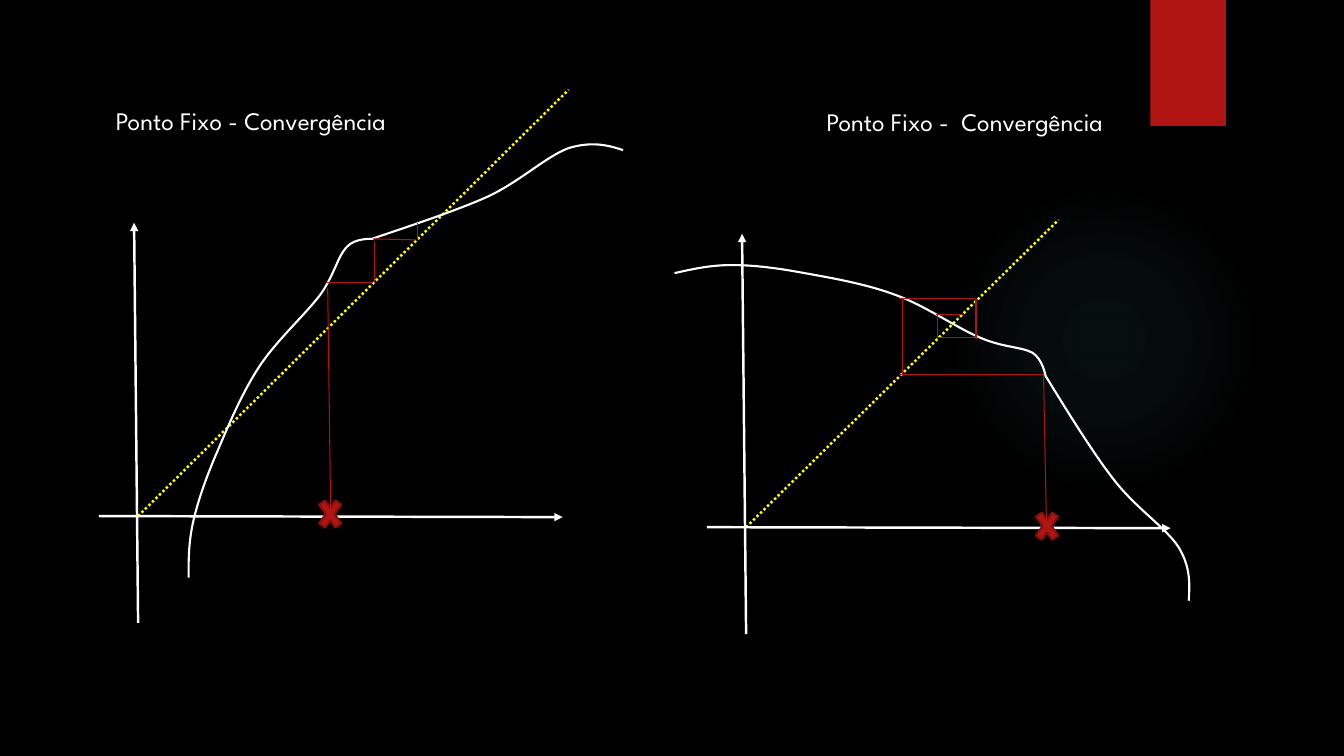
from dataclasses import dataclass

from lxml import etree
from pptx import Presentation
from pptx.dml.color import RGBColor
from pptx.enum.dml import MSO_LINE
from pptx.enum.shapes import MSO_CONNECTOR, MSO_SHAPE
from pptx.enum.text import MSO_AUTO_SIZE
from pptx.oxml import parse_xml
from pptx.oxml.ns import nsdecls, qn
from pptx.util import Inches, Pt

STRAIGHT = MSO_CONNECTOR.STRAIGHT
RECTANGLE, OVAL, CROSS = MSO_SHAPE.RECTANGLE, MSO_SHAPE.OVAL, MSO_SHAPE.MATH_MULTIPLY
DOTTED = MSO_LINE.ROUND_DOT
FIT_SHAPE = MSO_AUTO_SIZE.SHAPE_TO_FIT_TEXT


@dataclass(frozen=True)
class Theme:
    background: str = "000000"
    ink: str = "FFFFFF"
    accent: str = "B01513"
    accent_edge: str = "82100E"
    diagonal: str = "FFFF00"
    glow: str = "50B9C1"
    font: str = "League Spartan"
    title_size: float = 18
    axis_width: float = 1.75
    curve_width: float = 1.5
    step_width: float = 0.75


@dataclass(frozen=True)
class Plot:
    title: str
    title_box: tuple
    origin: tuple
    diagonal_end: tuple
    start_mark: tuple
    curve: list
    steps: list


PLOTS = [
    Plot(
        title="Ponto Fixo - Convergência",
        title_box=(1.05, 1, 3.45, 0.4),
        origin=(1.37, 5.12),
        diagonal_end=(5.64, 0.89),
        start_mark=(3.12, 4.88),
        curve=[
            (1.87, 5.73),
            (1.87, 5.55), (1.87, 5.37), (1.92, 5.16),
            (1.97, 4.95), (2.05, 4.72), (2.16, 4.47),
            (2.27, 4.21), (2.4, 3.9), (2.57, 3.64),
            (2.74, 3.38), (3.03, 3.12), (3.18, 2.92),
            (3.32, 2.72), (3.35, 2.54), (3.44, 2.45),
            (3.52, 2.36), (3.69, 2.37), (3.69, 2.37),
            (3.92, 2.29), (4.51, 2.1), (4.84, 1.95),
            (5.16, 1.8), (5.42, 1.55), (5.64, 1.47),
            (5.87, 1.4), (6.03, 1.44), (6.18, 1.49),
        ],
        steps=[
            ((3.25, 2.86), (3.28, 5.1)),
            ((3.7, 2.8), (3.23, 2.8)),
            ((3.71, 2.4), (3.71, 2.79)),
            ((4.13, 2.38), (3.7, 2.37)),
            ((4.14, 2.21), (4.14, 2.37)),
        ],
    ),
    Plot(
        title="Ponto Fixo -  Convergência",
        title_box=(8.1, 1.01, 3.52, 0.4),
        origin=(7.4, 5.23),
        diagonal_end=(10.5, 2.18),
        start_mark=(10.23, 5),
        curve=[
            (6.69, 2.71),
            (6.87, 2.67), (7.04, 2.63), (7.26, 2.63),
            (7.48, 2.63), (7.71, 2.66), (7.98, 2.71),
            (8.26, 2.76), (8.6, 2.82), (8.89, 2.93),
            (9.17, 3.03), (9.5, 3.26), (9.72, 3.35),
            (9.95, 3.45), (10.13, 3.44), (10.24, 3.5),
            (10.34, 3.56), (10.37, 3.73), (10.37, 3.73),
            (10.5, 3.94), (10.82, 4.47), (11.04, 4.75),
            (11.26, 5.04), (11.56, 5.23), (11.69, 5.43),
            (11.81, 5.63), (11.8, 5.8), (11.79, 5.96),
        ],
        steps=[
            ((10.35, 3.72), (10.38, 5.26)),
            ((10.35, 3.72), (8.93, 3.72)),
            ((8.95, 2.96), (8.95, 3.71)),
            ((9.67, 2.96), (8.92, 2.96)),
            ((9.68, 2.97), (9.68, 3.36)),
            ((9.69, 3.35), (9.3, 3.35)),
            ((9.3, 3.11), (9.3, 3.35)),
            ((9.55, 3.12), (9.28, 3.12)),
        ],
    ),
]


def inches(values):
    return [Inches(value) for value in values]


def color(code):
    return RGBColor.from_string(code)


class PageBuilder:
    def __init__(self, page, theme):
        self.page = page
        self.theme = theme
        fill = page.background.fill
        fill.solid()
        fill.fore_color.rgb = color(theme.background)

    def shape(self, kind, at, fill, edge=None):
        shape = self.page.shapes.add_shape(kind, *inches(at))
        shape.shadow.inherit = False
        shape.fill.solid()
        shape.fill.fore_color.rgb = color(fill)
        if edge:
            shape.line.color.rgb = color(edge)
            shape.line.width = Pt(self.theme.curve_width)
        else:
            shape.line.fill.background()
        return shape

    def glow(self, at):
        """Add a circle that fades out from its centre."""
        shape = self.shape(OVAL, at, self.theme.glow)
        stops = "".join(
            f'<a:gs pos="{place * 1000}"><a:srgbClr val="{self.theme.glow}">'
            f'<a:alpha val="{alpha * 1000}"/></a:srgbClr></a:gs>'
            for place, alpha in ((0, 7), (36, 6), (69, 0))
        )
        gradient = parse_xml(
            f'<a:gradFill {nsdecls("a")}><a:gsLst>{stops}</a:gsLst><a:path path="circle">'
            '<a:fillToRect l="50000" t="50000" r="50000" b="50000"/></a:path></a:gradFill>'
        )
        properties = shape.element.spPr
        properties.replace(properties.find(qn("a:solidFill")), gradient)

    def line(self, start, end, stroke, width, dash=None, arrow=False):
        line = self.page.shapes.add_connector(STRAIGHT, *inches(start + end))
        line.line.color.rgb = color(stroke)
        line.line.width = Pt(width)
        if dash:
            line.line.dash_style = dash
        if arrow:
            outline = line.line._get_or_add_ln()
            etree.SubElement(outline, qn("a:tailEnd"), type="triangle")
        etree.SubElement(line.element.spPr, qn("a:effectLst"))

    def curve(self, points):
        """Draw Bézier segments: a start point, then three points for each segment."""
        start, *others = [inches(point) for point in points]
        builder = self.page.shapes.build_freeform(*start)
        builder.add_line_segments(others, close=False)
        shape = builder.convert_to_shape()
        shape.shadow.inherit = False
        shape.fill.background()
        shape.line.color.rgb = color(self.theme.ink)
        shape.line.width = Pt(self.theme.curve_width)
        segments = list(shape.element.iter(qn("a:lnTo")))
        outline = segments[0].getparent()
        for first in range(0, len(segments), 3):
            bezier = etree.SubElement(outline, qn("a:cubicBezTo"))
            for segment in segments[first:first + 3]:
                bezier.append(segment[0])
                outline.remove(segment)

    def title(self, text, at):
        box = self.page.shapes.add_textbox(*inches(at))
        box.text_frame.word_wrap = False
        box.text_frame.auto_size = FIT_SHAPE
        span = box.text_frame.paragraphs[0].add_run()
        span.text = text
        span.font.name = self.theme.font
        span.font.size = Pt(self.theme.title_size)
        span.font.color.rgb = color(self.theme.ink)

    def plot(self, plot):
        theme = self.theme
        x, y = plot.origin
        self.line(plot.origin, plot.diagonal_end, theme.diagonal, theme.axis_width, dash=DOTTED)
        self.line((x, y + 1.06), (x - 0.04, y - 2.91), theme.ink, theme.axis_width, arrow=True)
        self.line((x - 0.39, y), (x + 4.21, y + 0.01), theme.ink, theme.axis_width, arrow=True)
        self.shape(CROSS, plot.start_mark + (0.31, 0.44), theme.accent, theme.accent_edge)
        self.title(plot.title, plot.title_box)
        self.curve(plot.curve)
        for start, end in plot.steps:
            self.line(start, end, theme.accent, theme.step_width)


def main():
    deck = Presentation()
    deck.slide_width, deck.slide_height = Inches(13.33), Inches(7.5)
    theme = Theme()
    builder = PageBuilder(deck.slides.add_slide(deck.slide_layouts[6]), theme)
    builder.glow((9.41, 1.83, 3.08, 3.08))
    builder.shape(RECTANGLE, (11.41, 0, 0.75, 1.25), theme.accent)
    for plot in PLOTS:
        builder.plot(plot)
    deck.save("out.pptx")


if __name__ == "__main__":
    main()
